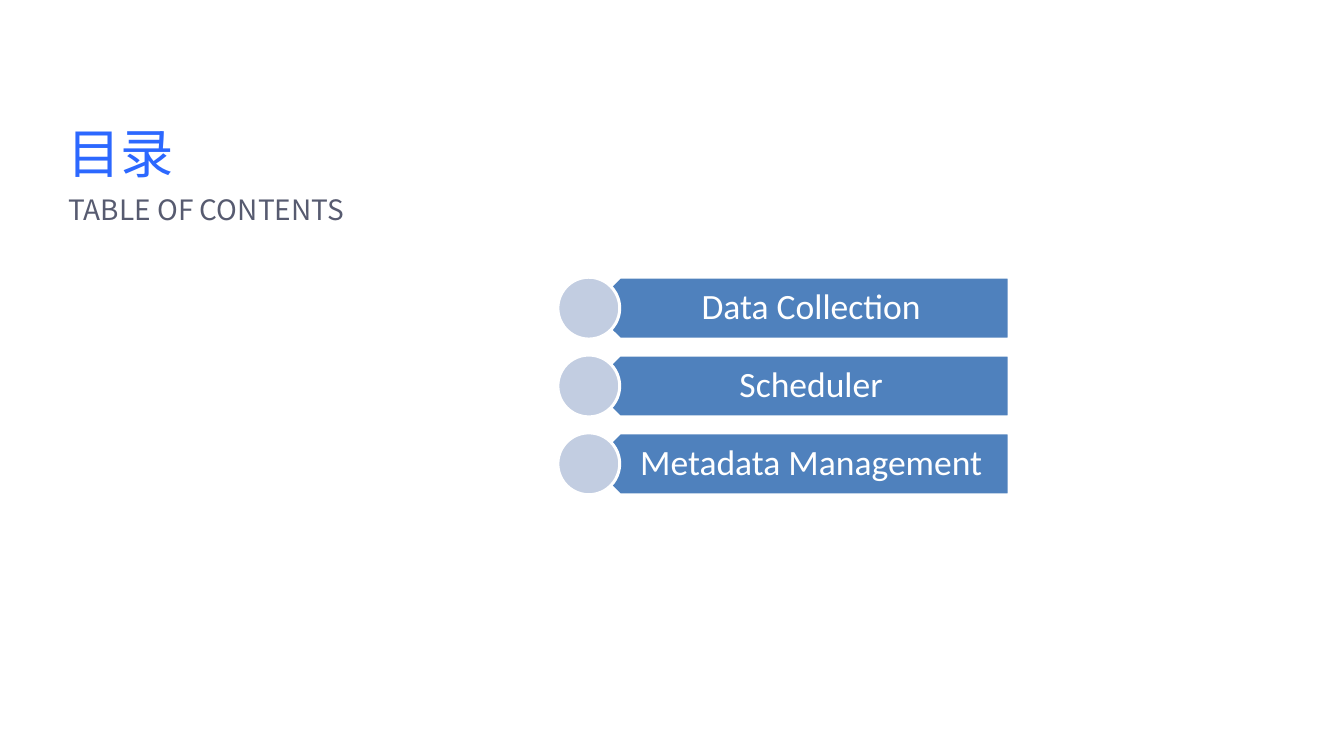
import pptx
import pptx.util
import pptx.dml.color
import pptx.enum.shapes
import pptx.enum.text
import pptx.oxml.ns
import lxml.etree

Inches = pptx.util.Inches
Pt = pptx.util.Pt
Shape = pptx.enum.shapes.MSO_SHAPE
Align = pptx.enum.text.PP_ALIGN
Anchor = pptx.enum.text.MSO_ANCHOR
Fit = pptx.enum.text.MSO_AUTO_SIZE

HUES = {"title": "2C68FF", "sub": "575B70", "bar": "4F81BD",
        "dot": "C2CDE1", "white": "FFFFFF"}
CJK, LATIN = "Noto Sans CJK SC", "Calibri"
TOPICS = ["Data Collection", "Scheduler", "Metadata Management"]
TOP, STEP, SIZE = 2.6, 0.73, 0.58


class Deck:
    """Holds the style and the current slide, and draws its elements."""

    def __init__(self, wide, high):
        self.file = pptx.Presentation()
        self.file.slide_width = Inches(wide)
        self.file.slide_height = Inches(high)
        self.slide = self.file.slides.add_slide(self.file.slide_layouts[0])

    def hue(self, name):
        return pptx.dml.color.RGBColor.from_string(HUES[name])

    def apply(self, item, form):
        for key, value in form.items():
            setattr(item, key, value)

    def place(self, item, box):
        keys = ("left", "top", "width", "height")
        self.apply(item, dict(zip(keys, map(Inches, box))))

    def fill_text(self, item, text, font, size, hue, frame, para):
        self.apply(item.text_frame, {"word_wrap": True, **frame})
        line = item.text_frame.paragraphs[0]
        self.apply(line, para)
        run = line.add_run()
        run.text = text
        self.apply(run.font, {"name": font, "size": Pt(size), "bold": False})
        run.font.color.rgb = self.hue(hue)
        mark = run._r.get_or_add_rPr()
        east = lxml.etree.SubElement(mark, pptx.oxml.ns.qn("a:ea"))
        east.set("typeface", font)

    def head(self, index, text, box, size, hue):
        item = self.slide.placeholders[index]
        self.place(item, box)
        frame = {"vertical_anchor": Anchor.TOP, "auto_size": Fit.SHAPE_TO_FIT_TEXT}
        para = {"alignment": Align.LEFT, "space_before": Pt(0)}
        self.fill_text(item, text, CJK, size, hue, frame, para)

    def form(self, group, kind, box, hue, turn=0):
        item = group.shapes.add_shape(kind, *map(Inches, box))
        item.rotation = turn
        item.shadow.inherit = False
        item.fill.solid()
        item.fill.fore_color.rgb = self.hue(hue)
        item.line.color.rgb = self.hue("white")
        item.line.width = Pt(2)

    def label(self, group, text, box):
        item = group.shapes.add_textbox(*map(Inches, box))
        frame = {"vertical_anchor": Anchor.MIDDLE, "auto_size": Fit.NONE,
                 "margin_left": Inches(0.26), "margin_right": Inches(0.19),
                 "margin_top": Inches(0.1), "margin_bottom": Inches(0.1)}
        para = {"alignment": Align.CENTER, "line_spacing": 0.9}
        self.fill_text(item, text, LATIN, 24, "white", frame, para)

    def topic(self, text, top):
        group = self.slide.shapes.add_group_shape()
        self.form(group, Shape.PENTAGON, (5.52, top, 3.94, SIZE), "bar", 180)
        self.label(group, text, (5.67, top, 3.8, SIZE))
        self.form(group, Shape.OVAL, (5.23, top, SIZE, SIZE), "dot")


def main():
    deck = Deck(12.6, 7.09)
    deck.head(0, "目录", (0.53, 1.08, 3.85, 0.71), 36, "title")
    deck.head(1, "TABLE OF CONTENTS", (0.54, 1.76, 3.85, 0.42), 18.9, "sub")
    for row, text in enumerate(TOPICS):
        deck.topic(text, TOP + row * STEP)
    deck.file.save("out.pptx")


if __name__ == "__main__":
    main()
